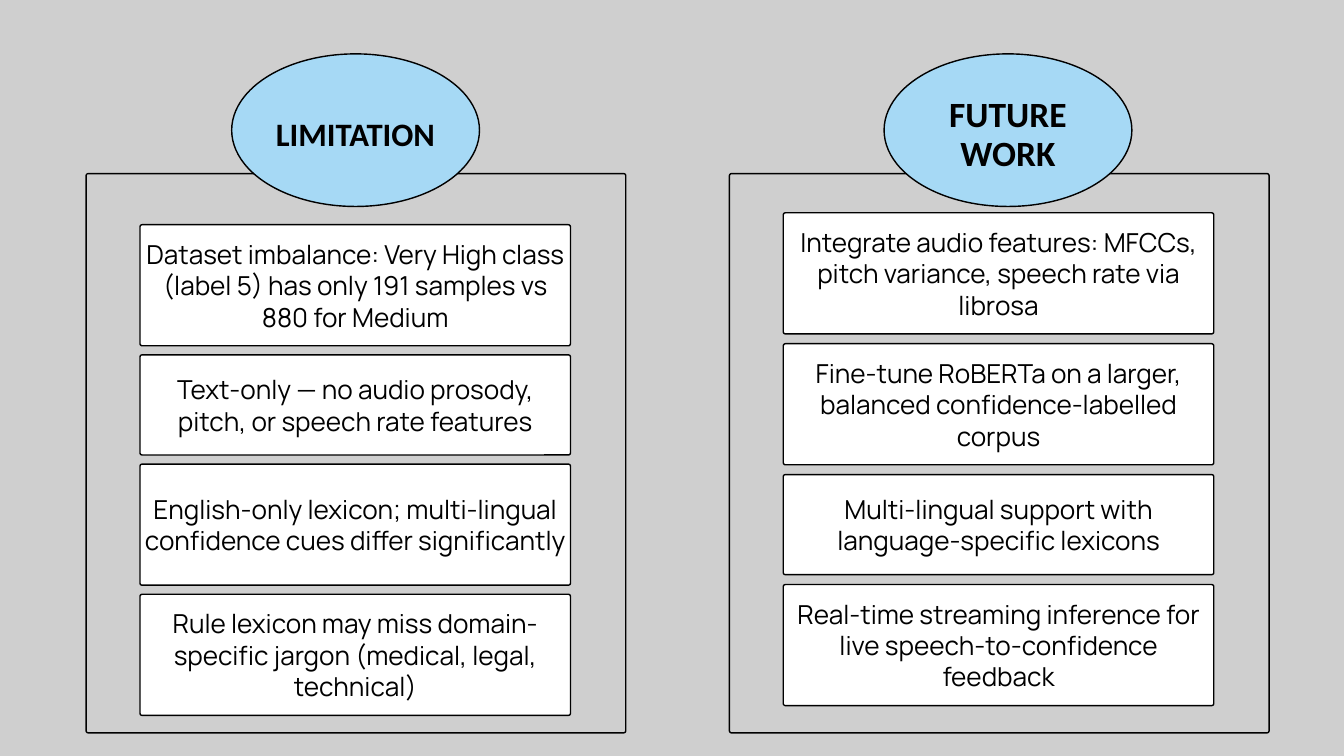
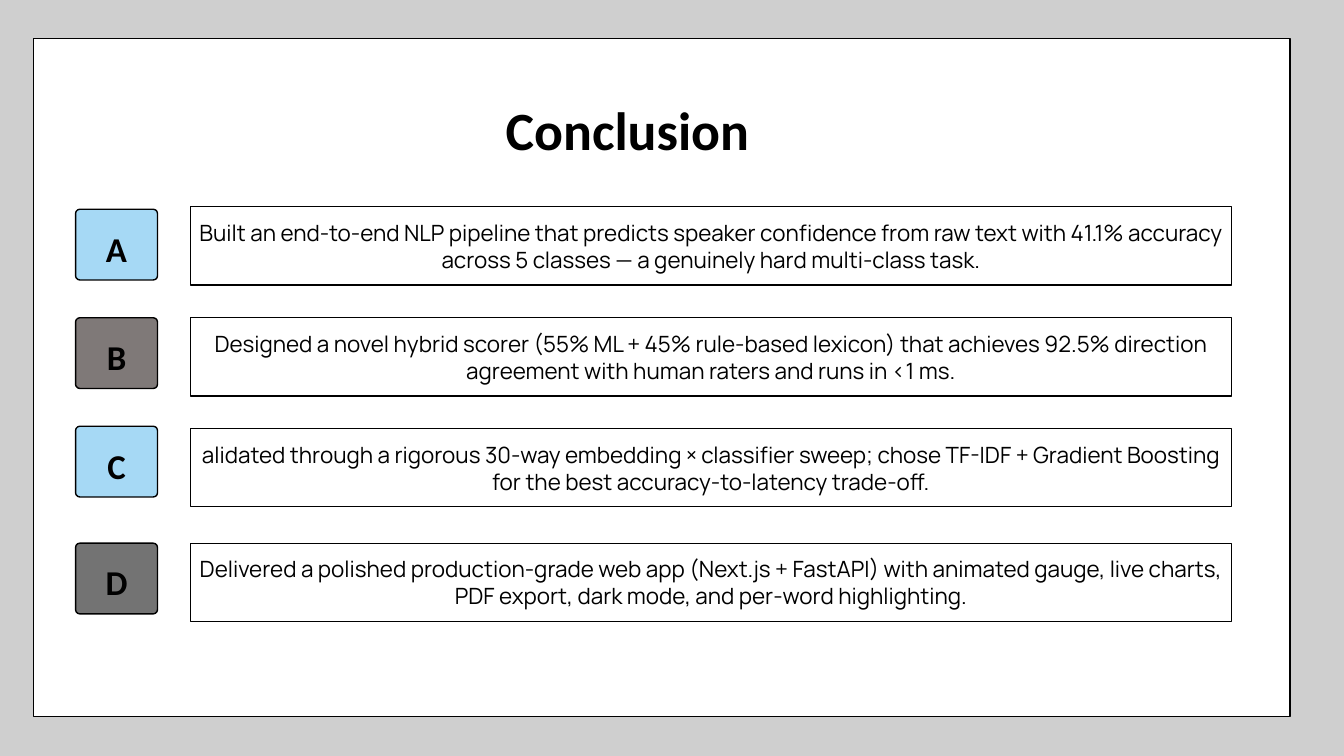
from pptx import Presentation
from pptx.dml.color import RGBColor
from pptx.enum.shapes import MSO_SHAPE
from pptx.enum.text import MSO_ANCHOR, MSO_AUTO_SIZE, PP_ALIGN
from pptx.util import Pt

PX = 9525  # EMU per px, slide is 1920 x 1080
GREY = RGBColor(0xCF, 0xCF, 0xCF)
BLUE = RGBColor(0xA6, 0xD9, 0xF5)
TAUPE = RGBColor(0x7F, 0x79, 0x78)
DARK_GREY = RGBColor(0x73, 0x73, 0x73)
WHITE = RGBColor(0xFF, 0xFF, 0xFF)
BLACK = RGBColor(0x00, 0x00, 0x00)
HEADING_FONT = "Calibri"
BODY_FONT = "Manrope"


def write(shape, text, size, spacing, font=BODY_FONT, bold=False,
          anchor=MSO_ANCHOR.MIDDLE, inset=0, top_inset=None):
    frame = shape.text_frame
    frame.word_wrap = True
    frame.auto_size = MSO_AUTO_SIZE.NONE
    frame.vertical_anchor = anchor
    frame.margin_left = frame.margin_right = frame.margin_bottom = inset * PX
    frame.margin_top = (inset if top_inset is None else top_inset) * PX
    paragraph = frame.paragraphs[0]
    paragraph.text = text
    paragraph.alignment = PP_ALIGN.CENTER
    paragraph.line_spacing = Pt(spacing)
    paragraph.font.name = font
    paragraph.font.size = Pt(size)
    paragraph.font.bold = bold
    paragraph.font.color.rgb = BLACK


def outlined(slide, kind, left, top, width, height, fill=None, radius=0):
    shape = slide.shapes.add_shape(kind, left * PX, top * PX, width * PX, height * PX)
    shape.shadow.inherit = False
    if fill is None:
        shape.fill.background()
    else:
        shape.fill.solid()
        shape.fill.fore_color.rgb = fill
    shape.line.color.rgb = BLACK
    shape.line.width = Pt(1.5)
    if radius:
        shape.adjustments[0] = radius / min(width, height)
    return shape


prs = Presentation()
prs.slide_width = 1920 * PX
prs.slide_height = 1080 * PX

# Shared background
background = prs.slide_master.background.fill
background.solid()
background.fore_color.rgb = GREY

# Slide 1: limitations and future work
TALL, SHORT = 173, 143
columns = [
    # heading, size, spacing, panel left, heading left, first card top, gap, cards
    ("LIMITATION", 35, 39.1, 123, 331, 321, 13, [
        (TALL, "Dataset imbalance: Very High class (label 5) has only 191 samples vs 880 for Medium"),
        (SHORT, "Text-only — no audio prosody, pitch, or speech rate features"),
        (TALL, "English-only lexicon; multi-lingual confidence cues differ significantly"),
        (TALL, "Rule lexicon may miss domain-specific jargon (medical, legal, technical)"),
    ]),
    ("FUTURE WORK", 38, 42.5, 1042, 1263, 304, 14, [
        (TALL, "Integrate audio features: MFCCs, pitch variance, speech rate via librosa"),
        (TALL, "Fine-tune RoBERTa on a larger, balanced confidence-labelled corpus"),
        (SHORT, "Multi-lingual support with language-specific lexicons"),
        (TALL, "Real-time streaming inference for live speech-to-confidence feedback"),
    ]),
]
outlook = prs.slides.add_slide(prs.slide_layouts[6])
for heading, size, spacing, panel_left, heading_left, card_top, gap, cards in columns:
    outlined(outlook, MSO_SHAPE.ROUNDED_RECTANGLE, panel_left, 248, 771, 799, radius=3)
    oval = outlined(outlook, MSO_SHAPE.OVAL, heading_left, 77, 354, 218, BLUE)
    write(oval, heading, size, spacing, font=HEADING_FONT, bold=True, top_inset=12)
    for height, text in cards:
        card = outlined(outlook, MSO_SHAPE.ROUNDED_RECTANGLE, panel_left + 77, card_top,
                        615, height, WHITE, radius=3)
        write(card, text, 28, 33.6, inset=4)
        card_top += height + gap

# Slide 2: conclusion on a white sheet
conclusion = prs.slides.add_slide(prs.slide_layouts[5])
title = conclusion.shapes.title
title.left, title.top, title.width, title.height = 523 * PX, 151 * PX, 747 * PX, 84 * PX
write(title, "Conclusion", 57.7, 60, font=HEADING_FONT, bold=True, anchor=MSO_ANCHOR.TOP)
sheet = outlined(conclusion, MSO_SHAPE.RECTANGLE, 48, 55, 1795, 969, WHITE)
title.element.addprevious(sheet.element)  # sheet goes behind the title

# Lettered findings
findings = [
    # letter, badge colour, badge top, finding top, text
    ("A", BLUE, 299, 295, "Built an end-to-end NLP pipeline that predicts speaker confidence from raw text "
     "with 41.1% accuracy across 5 classes — a genuinely hard multi-class task."),
    ("B", TAUPE, 454, 454, "Designed a novel hybrid scorer (55% ML + 45% rule-based lexicon) that achieves "
     "92.5% direction agreement with human raters and runs in <1 ms."),
    ("C", BLUE, 609, 612, "alidated through a rigorous 30-way embedding × classifier sweep; chose TF-IDF + "
     "Gradient Boosting for the best accuracy-to-latency trade-off."),
    ("D", DARK_GREY, 776, 776, "Delivered a polished production-grade web app (Next.js + FastAPI) with animated "
     "gauge, live charts, PDF export, dark mode, and per-word highlighting."),
]
for letter, colour, badge_top, finding_top, text in findings:
    badge = outlined(conclusion, MSO_SHAPE.ROUNDED_RECTANGLE, 108, badge_top, 117, 101, colour, radius=6)
    write(badge, letter, 37.3, 52.2, font=HEADING_FONT, bold=True)
    finding = outlined(conclusion, MSO_SHAPE.RECTANGLE, 272, finding_top, 1487, 112, WHITE)
    write(finding, text, 24, 28.8, inset=6)

prs.save("out.pptx")
